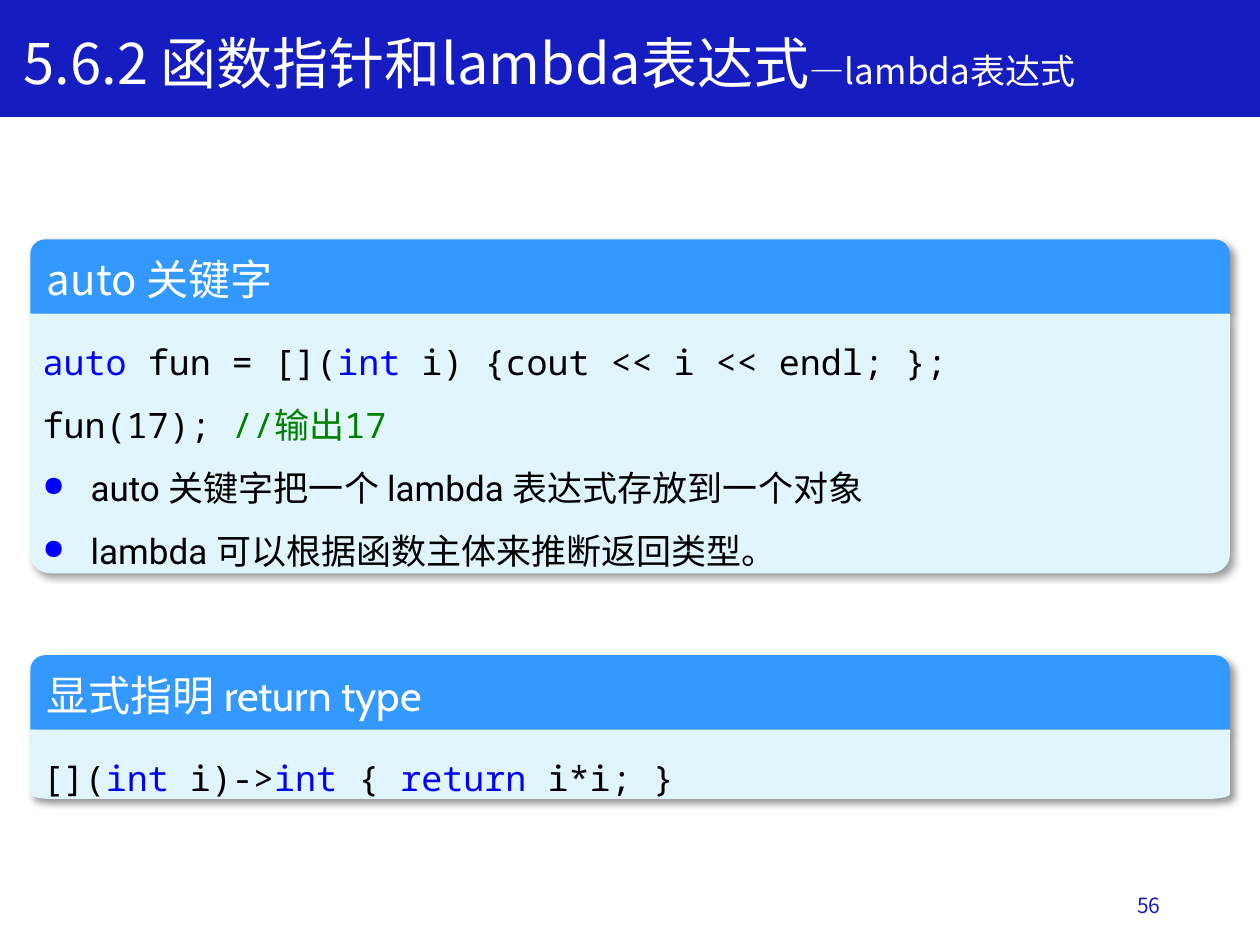
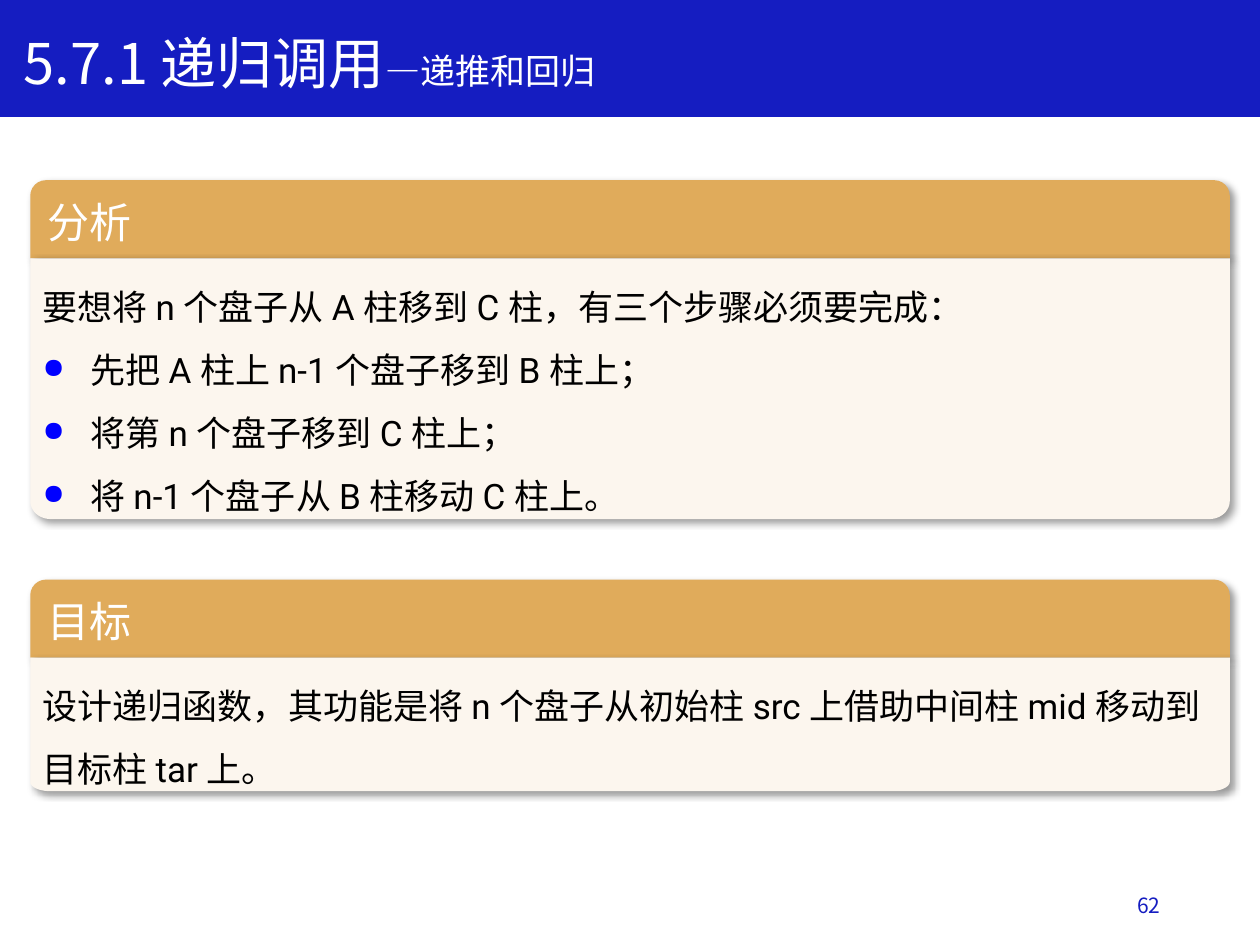
from itertools import cycle
from math import cos, pi, sin

from lxml import etree
from pptx import Presentation
from pptx.dml.color import RGBColor
from pptx.enum.shapes import MSO_SHAPE
from pptx.enum.text import MSO_ANCHOR, PP_ALIGN
from pptx.oxml import parse_xml
from pptx.oxml.ns import nsdecls, qn
from pptx.util import Inches, Pt

RECT = MSO_SHAPE.RECTANGLE
ROUND_TOP = MSO_SHAPE.ROUND_2_SAME_RECTANGLE
TOP, MIDDLE = MSO_ANCHOR.TOP, MSO_ANCHOR.MIDDLE
RIGHT = PP_ALIGN.RIGHT

COLORS = {
    "band": "151DC1", "white": "FFFFFF", "black": "000000",
    "keyword": "0000FF", "comment": "008000",
    "blue": "3399FF", "blue_body": "E0F6FC",
    "amber": "E0AB5B", "amber_body": "FCF6EE",
}
CJK, LATIN, MONO, HEAD_LATIN = "Noto Sans CJK SC", "Roboto", "Noto Sans Mono", "Cabin"

PANEL_LEFT, PANEL_WIDTH = 0.24, 9.52
CORNER_WIDTH, CORNER_SHARE = 0.16, 0.07
CORNER_STEPS = 12


def mixed(*texts, fonts=(CJK, LATIN)):
    return [(text, font, "black") for text, font in zip(texts, cycle(fonts))]


def code(*texts, first="black"):
    other = "keyword" if first == "black" else "black"
    return [(text, MONO, color) for text, color in zip(texts, cycle((first, other)))]


class Deck:
    def __init__(self):
        self.prs = Presentation()
        self.prs.slide_width, self.prs.slide_height = Inches(10), Inches(7.5)
        self.slide = None

    def rgb(self, name):
        return RGBColor.from_string(COLORS[name])

    def add_slide(self, title, subtitle, number):
        self.slide = self.prs.slides.add_slide(self.prs.slide_layouts[6])
        band = self.slide.shapes.add_shape(RECT, 0, 0, Inches(10), Inches(0.92))
        band.shadow.inherit = False
        self.paint(band, "band")
        band.line.color.rgb = self.rgb("band")
        band.line.width = Pt(1)
        title_frame = self.text_box(0.09, 0.17, 9.22, 0.64)
        self.add_run(title_frame.paragraphs[0], title, CJK, "white", 32)
        self.add_run(title_frame.paragraphs[0], subtitle, CJK, "white", 20)
        number_line = self.text_box(7.06, 6.98, 2.25, 0.4).paragraphs[0]
        number_line.alignment = RIGHT
        self.add_run(number_line, number, CJK, "band", 12)

    def text_box(self, left, top, width, height):
        box = self.slide.shapes.add_textbox(*map(Inches, (left, top, width, height)))
        return self.set_frame(box, MIDDLE)

    def set_frame(self, shape, anchor):
        frame = shape.text_frame
        frame.word_wrap = True
        frame.vertical_anchor = anchor
        frame.paragraphs[0].alignment = PP_ALIGN.LEFT
        return frame

    def paint(self, shape, color):
        shape.fill.solid()
        shape.fill.fore_color.rgb = self.rgb(color)

    def add_run(self, paragraph, text, font, color, size):
        run = paragraph.add_run()
        run.text = text
        run.font.name, run.font.size = font, Pt(size)
        run.font.color.rgb = self.rgb(color)
        east_asian = etree.Element(qn("a:ea"), typeface=CJK)
        run.font._element.find(qn("a:latin")).addnext(east_asian)

    def add_bullet(self, paragraph):
        props = paragraph._p.get_or_add_pPr()
        props.set("marL", str(Inches(0.38)))
        props.set("indent", str(-Inches(0.38)))
        for xml in (
            f'<a:buClr {nsdecls("a")}><a:srgbClr val="{COLORS["keyword"]}"/></a:buClr>',
            f'<a:buSzPct {nsdecls("a")} val="80000"/>',
            f'<a:buChar {nsdecls("a")} char="●"/>',
        ):
            props.append(parse_xml(xml))

    def add_shadow(self, shape):
        shape.shadow.inherit = False
        effects = shape._element.spPr.find(qn("a:effectLst"))
        effects.append(parse_xml(
            f'<a:outerShdw {nsdecls("a")} blurRad="{Pt(4)}" dist="{Pt(3)}" '
            f'dir="2700000" algn="tl" rotWithShape="0"><a:srgbClr val="{COLORS["black"]}">'
            '<a:alpha val="40000"/></a:srgbClr></a:outerShdw>'))

    def body_outline(self, shapes, top, height):
        right, bottom = PANEL_LEFT + PANEL_WIDTH, top + height
        rx, ry = CORNER_WIDTH, height * CORNER_SHARE
        angles = [pi / 2 * step / CORNER_STEPS for step in range(CORNER_STEPS + 1)]
        right_corner = [(right - rx + rx * cos(a), bottom - ry + ry * sin(a)) for a in angles]
        left_corner = [(PANEL_LEFT + right - x, y) for x, y in reversed(right_corner)]
        outline = shapes.build_freeform(Inches(PANEL_LEFT), Inches(top))
        points = [(right, top), *right_corner, *left_corner]
        outline.add_line_segments([(Inches(x), Inches(y)) for x, y in points], close=True)
        return outline.convert_to_shape()

    def panel(self, color, top, head_height, body_height, heading, lines):
        group = self.slide.shapes.add_group_shape().shapes
        head = group.add_shape(
            ROUND_TOP, *map(Inches, (PANEL_LEFT, top, PANEL_WIDTH, head_height)))
        head.adjustments[0], head.adjustments[1] = 0.2, 0
        body = self.body_outline(group, top + head_height, body_height)
        for part, fill in ((head, color), (body, color + "_body")):
            self.paint(part, fill)
            part.line.fill.background()
            self.add_shadow(part)
        head_line = self.set_frame(head, MIDDLE).paragraphs[0]
        for text, font in heading:
            self.add_run(head_line, text, font, "white", 24)
        frame = self.set_frame(body, TOP)
        for index, (bulleted, *rows) in enumerate(lines):
            paragraph = frame.add_paragraph() if index else frame.paragraphs[0]
            if bulleted:
                self.add_bullet(paragraph)
            paragraph.alignment = PP_ALIGN.LEFT
            paragraph.line_spacing = 1.5
            for row_index, row in enumerate(rows):
                if row_index:
                    paragraph.add_line_break()
                for text, font, ink in row:
                    self.add_run(paragraph, text, font, ink, 20)


def lambda_slide(deck):
    deck.add_slide("5.6.2 函数指针和lambda表达式", "—lambda表达式", "56")
    call = code("fun(17); ") + [
        ("//", MONO, "comment"), ("输出", CJK, "comment"), ("17", MONO, "comment")]
    deck.panel("blue", 1.9, 0.59, 2.06, [("auto 关键字", CJK)], [
        (False, code("auto ", "fun = [](", "int ", "i) {cout << i << endl; };",
                     first="keyword"), call),
        (True, mixed("auto ", "关键字把一个 ", "lambda ", "表达式存放到一个对象",
                     fonts=(LATIN, CJK))),
        (True, mixed("lambda ", "可以根据函数主体来推断返回类型。", fonts=(LATIN, CJK))),
    ])
    deck.panel("blue", 5.2, 0.59, 0.55, [("显式指明 ", CJK), ("return type", HEAD_LATIN)], [
        (False, code("[](", "int ", "i)->", "int ", "{ ", "return ", "i*i; }")),
    ])


def recursion_slide(deck):
    deck.add_slide("5.7.1 递归调用", "—递推和回归", "62")
    deck.panel("amber", 4.6, 0.62, 1.06, [("目标", CJK)], [
        (False, mixed("设计递归函数，其功能是将 ", "n ", "个盘子从初始柱 ", "src ",
                      "上借助中间柱 ", "mid ", "移动到目标柱 ", "tar ", "上。")),
    ])
    deck.panel("amber", 1.43, 0.62, 2.07, [("分析", CJK)], [
        (False, mixed("要想将 ", "n ", "个盘子从 ", "A ", "柱移到 ", "C ",
                      "柱，有三个步骤必须要完成：")),
        (True, mixed("先把 ", "A ", "柱上 ", "n-1 ", "个盘子移到 ", "B ", "柱上；")),
        (True, mixed("将第 ", "n ", "个盘子移到 ", "C ", "柱上；")),
        (True, mixed("将 ", "n-1 ", "个盘子从 ", "B ", "柱移动 ", "C ", "柱上。")),
    ])


def main():
    deck = Deck()
    lambda_slide(deck)
    recursion_slide(deck)
    deck.prs.save("out.pptx")


if __name__ == "__main__":
    main()
